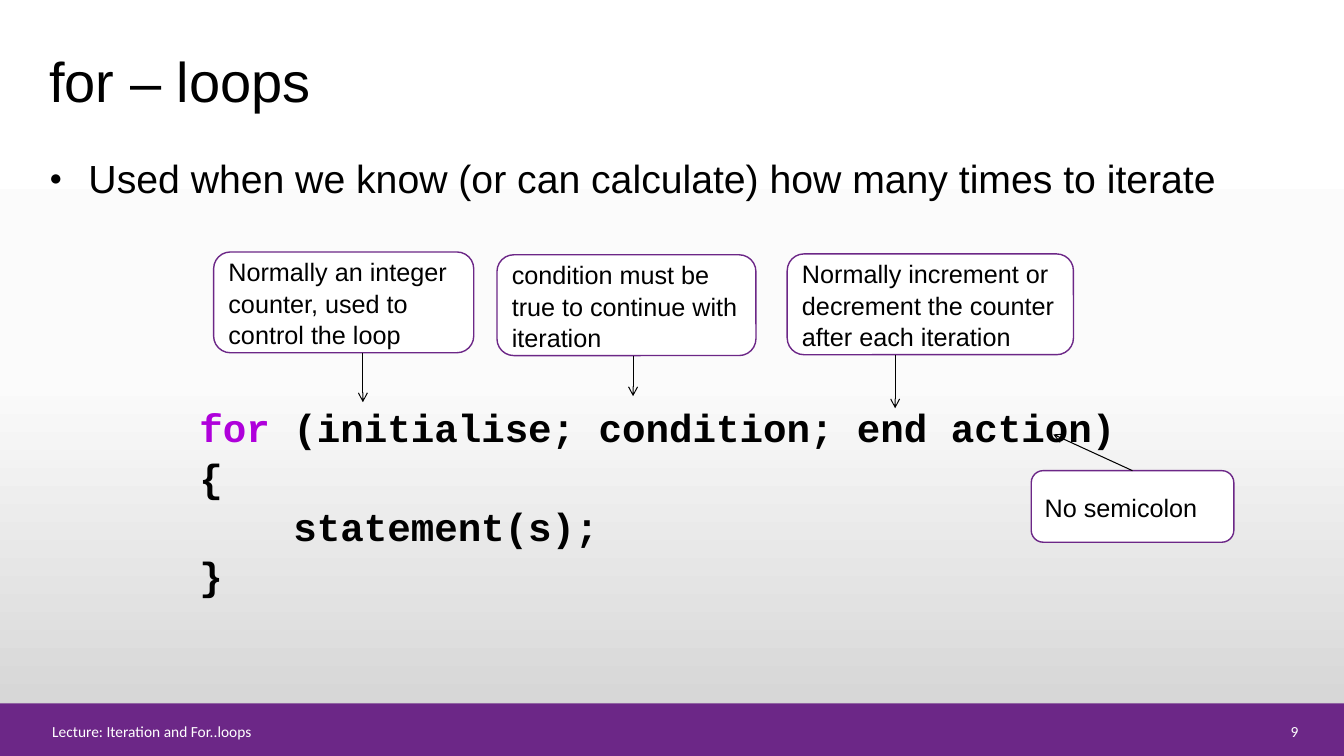
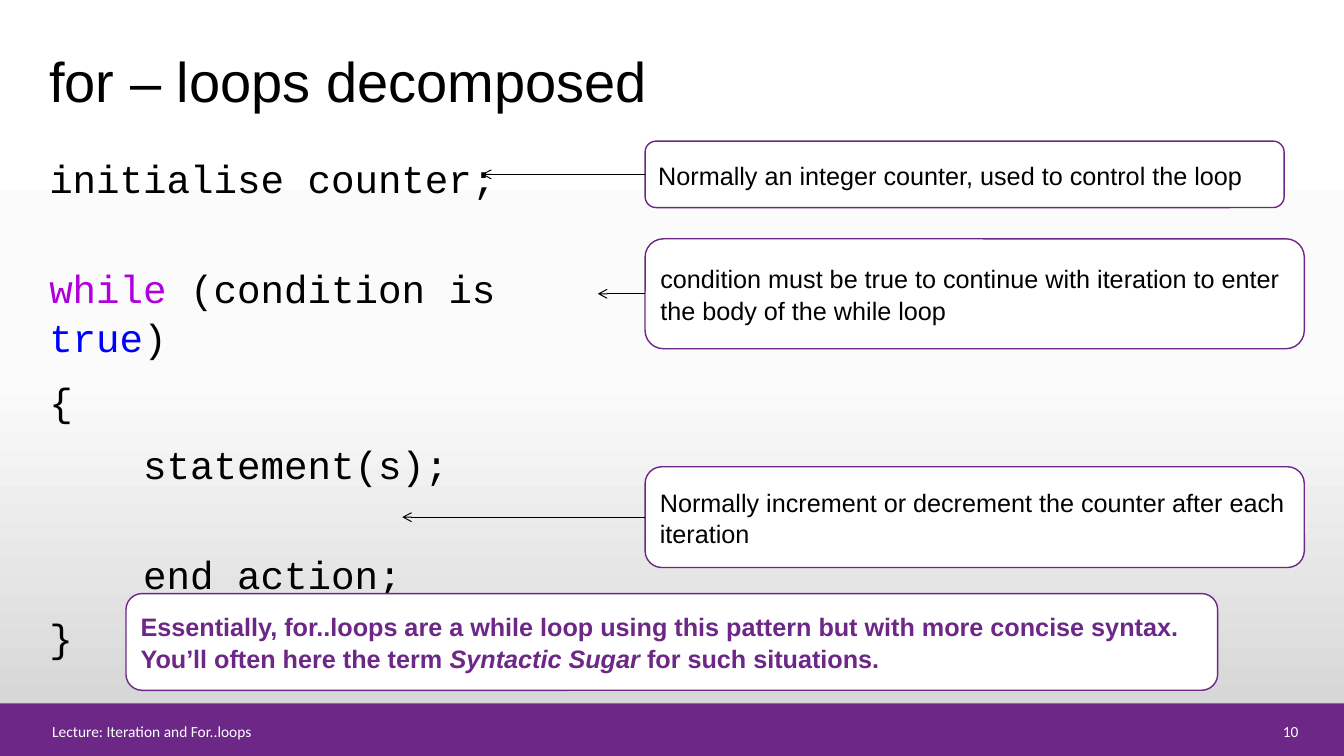
from copy import deepcopy
from dataclasses import dataclass
from typing import NamedTuple, Optional

from lxml import etree
from pptx import Presentation
from pptx.dml.color import RGBColor
from pptx.enum.shapes import MSO_CONNECTOR, MSO_SHAPE
from pptx.enum.text import MSO_ANCHOR, MSO_AUTO_SIZE, PP_ALIGN
from pptx.oxml.ns import qn
from pptx.util import Pt

BLACK = RGBColor(0x00, 0x00, 0x00)
WHITE = RGBColor(0xFF, 0xFF, 0xFF)
PURPLE = RGBColor(0x6C, 0x27, 0x87)
KEYWORD = RGBColor(0xAF, 0x00, 0xDB)
LITERAL = RGBColor(0x00, 0x00, 0xFF)
BACKDROP = ((0, WHITE), (0.5, RGBColor(0xFB, 0xFB, 0xFB)), (1, RGBColor(0xD1, 0xD1, 0xD1)))

SANS, MONO, FOOTER_FONT = "Arial", "Courier New", "Calibri"
LEFT, RIGHT = PP_ALIGN.LEFT, PP_ALIGN.RIGHT
MIDDLE = MSO_ANCHOR.MIDDLE
NO_AUTOFIT = MSO_AUTO_SIZE.NONE
RECTANGLE, ROUNDED = MSO_SHAPE.RECTANGLE, MSO_SHAPE.ROUNDED_RECTANGLE
STRAIGHT = MSO_CONNECTOR.STRAIGHT
TOP_SITE, LEFT_SITE = 0, 1

FOOTER = "Lecture: Iteration and For..loops"
LINE_SPACING = 1.05
PARAGRAPH_GAP = 10
EMPTY_LINE_GAP = 43  # one line of code plus the paragraph gap


class Box(NamedTuple):
    left: float
    top: float
    width: float
    height: float

    def points(self) -> tuple:
        return tuple(Pt(value) for value in self)


class Span(NamedTuple):
    text: str
    color: RGBColor = BLACK
    bold: bool = False
    italic: bool = False


@dataclass
class Line:
    spans: list[Span]
    gap: float = 0


@dataclass
class Callout:
    box: Box
    spans: list[Span]
    tip: Optional[tuple[float, float]] = None
    site: Optional[int] = None


TITLE_BOX = Box(28, 26, 746, 62.6)
BAND_BOX = Box(0, 502.5, 960, 37.5)
FOOTER_BOX = Box(30.2, 512.6, 838.8, 16.6)
NUMBER_BOX = Box(880.6, 512.6, 54, 16.6)

INTRO = [Line([Span("Used when we know (or can calculate) how many times to iterate")])]

FOR_SYNTAX = [
    Line([Span("for", KEYWORD, True),
          Span(" (initialise; condition; end action)", bold=True)]),
    Line([Span("{", bold=True)]),
    Line([Span("    statement(s);", bold=True)]),
    Line([Span("}", bold=True)]),
]

WHILE_PATTERN = [
    Line([Span("initialise counter;")]),
    Line([Span("while", KEYWORD), Span(" (condition is "),
          Span("true", LITERAL), Span(")")], EMPTY_LINE_GAP),
    Line([Span("{")], PARAGRAPH_GAP),
    Line([Span("    statement(s);")], PARAGRAPH_GAP),
    Line([Span("    end action;")], EMPTY_LINE_GAP),
    Line([Span("}")], PARAGRAPH_GAP),
]

COUNTER_NOTE = [Span("Normally an integer counter, used to control the loop")]
ACTION_NOTE = [Span("Normally increment or decrement the counter after each iteration")]

FOR_CALLOUTS = [
    Callout(Box(152.6, 180, 185.8, 72), COUNTER_NOTE, (259.2, 287.3)),
    Callout(Box(355, 182, 185, 72),
            [Span("condition must be true to continue with iteration")], (452.2, 283)),
    Callout(Box(562.3, 181.4, 204.5, 72), ACTION_NOTE, (639.4, 291.6)),
    Callout(Box(736.6, 336.2, 144.7, 51.1), [Span("No semicolon")],
            (752.4, 310.3), TOP_SITE),
]

WHILE_CALLOUTS = [
    Callout(Box(460.8, 100.8, 456.5, 47.5), COUNTER_NOTE, (344.2, 124.55), LEFT_SITE),
    Callout(Box(460.8, 170.6, 470.9, 78.5),
            [Span("condition must be true to continue with iteration "
                  "to enter the body of the while loop")], (427, 209.85), LEFT_SITE),
    Callout(Box(460.8, 333.4, 470.9, 72), ACTION_NOTE, (287.3, 369.4), LEFT_SITE),
    Callout(Box(90, 424, 779.8, 69.1), [
        Span("Essentially, for..loops are a while loop using this pattern but with "
             "more concise syntax. You’ll often here the term ", PURPLE, True),
        Span("Syntactic Sugar", PURPLE, True, True),
        Span(" for such situations.", PURPLE, True),
    ]),
]


def place(shape, box: Box) -> None:
    shape.left, shape.top, shape.width, shape.height = box.points()


def set_bullet(paragraph, char: str = "", indent: float = 0) -> None:
    """Set a small bullet with a hanging indent, or none without a char."""
    properties = paragraph._p.get_or_add_pPr()
    properties.set("marL", str(Pt(indent)))
    properties.set("indent", str(-Pt(indent)))
    if char:
        etree.SubElement(properties, qn("a:buSzPct")).set("val", "55000")
        etree.SubElement(properties, qn("a:buChar")).set("char", char)
    else:
        etree.SubElement(properties, qn("a:buNone"))


def write_lines(frame, lines: list[Line], font: str, size: float,
                spacing: float = LINE_SPACING, bullet: str = "",
                indent: float = 0, align=LEFT) -> None:
    frame.word_wrap = True
    frame.auto_size = NO_AUTOFIT
    for index, line in enumerate(lines):
        paragraph = frame.add_paragraph() if index else frame.paragraphs[0]
        set_bullet(paragraph, bullet, indent)
        paragraph.alignment = align
        paragraph.line_spacing = spacing
        paragraph.space_before = Pt(line.gap)
        for span in line.spans:
            run = paragraph.add_run()
            run.text = span.text
            run.font.name, run.font.size = font, Pt(size)
            run.font.bold, run.font.italic = span.bold, span.italic
            run.font.color.rgb = span.color


def add_text(slide, box: Box, lines: list[Line], font: str, size: float, **layout) -> None:
    write_lines(slide.shapes.add_textbox(*box.points()).text_frame,
                lines, font, size, **layout)


def add_panel(slide, kind, box: Box, fill: RGBColor):
    panel = slide.shapes.add_shape(kind, *box.points())
    panel.shadow.inherit = False
    panel.fill.solid()
    panel.fill.fore_color.rgb = fill
    panel.line.color.rgb = PURPLE
    panel.line.width = Pt(1)
    return panel


def add_callout(slide, callout: Callout) -> None:
    """Draw a note and its arrow, joined at a site or dropped from the lower edge."""
    box = callout.box
    note = add_panel(slide, ROUNDED, box, WHITE)
    note.text_frame.vertical_anchor = MIDDLE
    write_lines(note.text_frame, [Line(callout.spans)], SANS, 18)
    if callout.tip is None:
        return
    tip_x, tip_y = callout.tip
    arrow = slide.shapes.add_connector(
        STRAIGHT, Pt(tip_x), Pt(box.top + box.height), Pt(tip_x), Pt(tip_y))
    if callout.site is not None:
        arrow.begin_connect(note, callout.site)
    arrow.line.color.rgb = BLACK
    arrow.line.width = Pt(0.75)
    properties = arrow.element.spPr
    etree.SubElement(properties.find(qn("a:ln")), qn("a:tailEnd")).set("type", "arrow")
    etree.SubElement(properties, qn("a:effectLst"))


def paint_backdrop(master) -> None:
    fill = master.background.fill
    fill.gradient()
    fill.gradient_angle = 270
    stops = master.element.find(".//" + qn("a:gsLst"))
    stops.insert(1, deepcopy(stops[0]))
    for stop, (position, color) in zip(fill.gradient_stops, BACKDROP):
        stop.position = position
        stop.color.rgb = color


def add_master_band(master, slide) -> None:
    """Draw the band on a slide, then move it to the back of the master."""
    band = add_panel(slide, RECTANGLE, BAND_BOX, PURPLE)
    band.line.fill.background()
    master.element.cSld.spTree.insert(2, band.element)


def add_lecture_slide(prs, title: str, number: int, body_box: Box):
    """Add a slide with its title and footer; return it with its body placeholder."""
    slide = prs.slides.add_slide(prs.slide_layouts[1])
    heading, body = slide.placeholders
    place(heading, TITLE_BOX)
    heading.text_frame.vertical_anchor = MIDDLE
    write_lines(heading.text_frame, [Line([Span(title)])], SANS, 40, spacing=1)
    place(body, body_box)
    add_text(slide, FOOTER_BOX, [Line([Span(FOOTER, WHITE)])], FOOTER_FONT, 11, spacing=1)
    add_text(slide, NUMBER_BOX, [Line([Span(str(number), WHITE)])],
             FOOTER_FONT, 11, spacing=1, align=RIGHT)
    return slide, body


def main() -> None:
    prs = Presentation()
    prs.slide_width, prs.slide_height = Pt(960), Pt(540)
    paint_backdrop(prs.slide_master)

    for_slide, intro = add_lecture_slide(prs, "for – loops", 9, Box(28, 105, 904, 216))
    add_master_band(prs.slide_master, for_slide)
    write_lines(intro.text_frame, INTRO, SANS, 28, bullet="●", indent=28)
    add_text(for_slide, Box(135.4, 283, 715, 143), FOR_SYNTAX, MONO, 28)

    while_slide, pattern = add_lecture_slide(
        prs, "for – loops decomposed", 10, Box(28, 105, 418, 385))
    write_lines(pattern.text_frame, WHILE_PATTERN, MONO, 28)

    for slide, callouts in ((for_slide, FOR_CALLOUTS), (while_slide, WHILE_CALLOUTS)):
        for callout in callouts:
            add_callout(slide, callout)
    for_slide.shapes[-1].end_x = Pt(FOR_CALLOUTS[-1].tip[0])

    prs.save("out.pptx")


if __name__ == "__main__":
    main()
